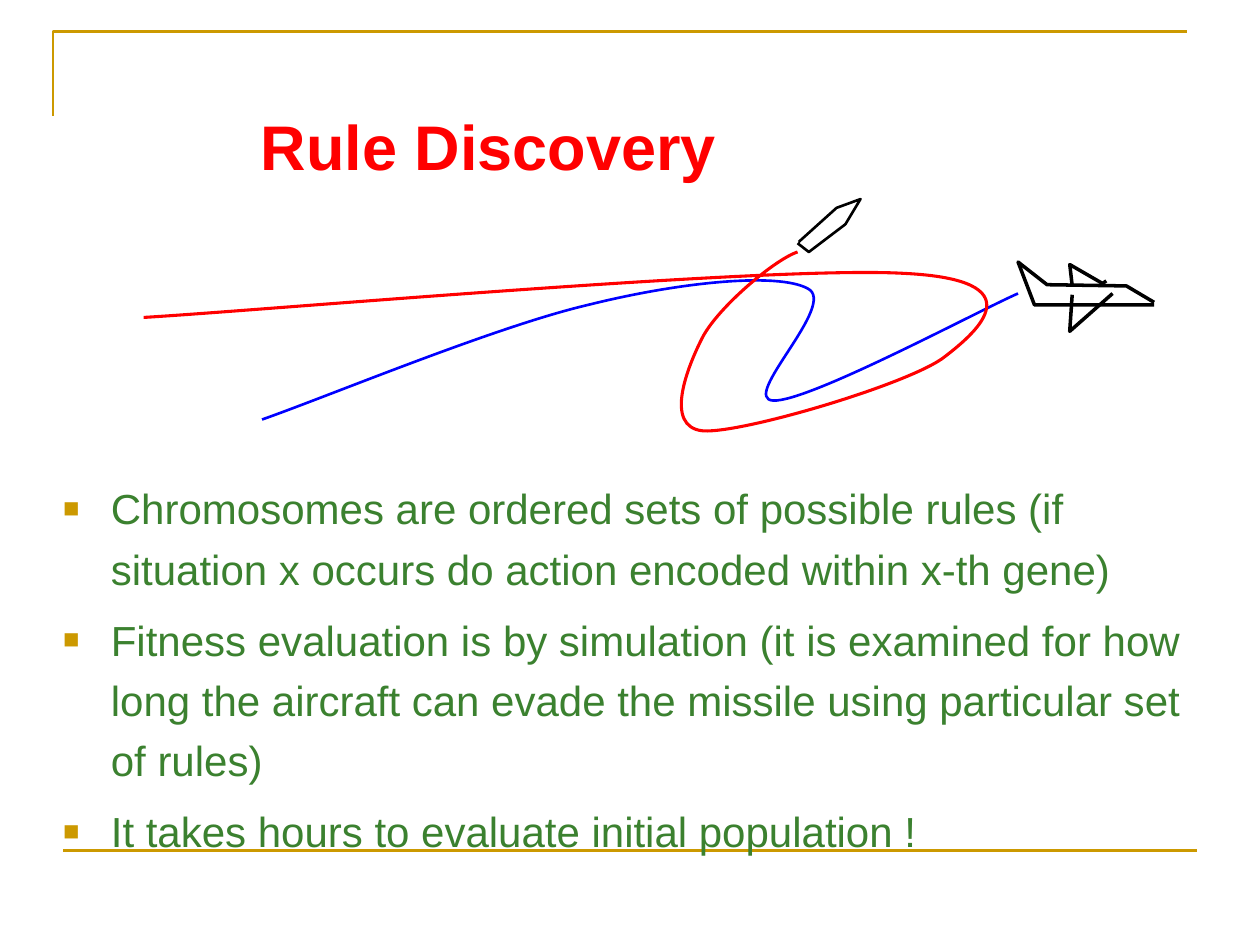
from lxml import etree
from pptx import Presentation
from pptx.dml.color import RGBColor
from pptx.enum.shapes import MSO_CONNECTOR
from pptx.enum.text import MSO_ANCHOR, PP_ALIGN
from pptx.oxml.ns import qn
from pptx.util import Pt

PX = 9144
STRAIGHT = MSO_CONNECTOR.STRAIGHT
TOP = MSO_ANCHOR.TOP
LEFT = PP_ALIGN.LEFT
GOLD = RGBColor(0xCC, 0x99, 0x00)
RED = RGBColor(0xFF, 0x00, 0x00)
BLUE = RGBColor(0x00, 0x00, 0xFF)
BLACK = RGBColor(0x00, 0x00, 0x00)
GREEN = RGBColor(0x3B, 0x81, 0x2F)

BULLETS = [
    "Chromosomes are ordered sets of possible rules (if situation x occurs do action encoded within x-th gene)",
    "Fitness evaluation is by simulation (it is examined for how long the aircraft can evade the missile using particular set of rules)",
    "It takes hours to evaluate initial population !",
]
FRAME_CORNER = [(42, 92), (42, 25), (942, 25)]
AIRCRAFT_BODY = [(916, 242), (821, 242), (808, 208), (831, 226), (894, 227), (916, 240)]
NEAR_WING = [(883, 233), (849, 263), (851, 234)]
FAR_WING = [(878, 223), (875, 225), (849, 210), (851, 227)]
MISSILE = [(634, 192), (664, 165), (683, 158), (671, 178), (642, 200), (633, 193)]
AIRCRAFT_TRACK = [
    (808, 233),
    (776, 247), (642, 319), (614, 318),
    (586, 317), (666, 241), (641, 229),
    (617, 216), (539, 224), (467, 242),
    (394, 259), (262, 314), (208, 333),
]
MISSILE_TRACK = [
    (114, 252),
    (214, 246), (611, 211), (717, 217),
    (823, 222), (776, 263), (750, 283),
    (724, 304), (590, 344), (558, 342),
    (526, 339), (546, 290), (558, 267),
    (571, 243), (615, 206), (633, 200),
]


class SlideBuilder:
    font_name = "Arial"

    def __init__(self, deck):
        self.slide = deck.slides.add_slide(deck.slide_layouts[5])
        self.shapes = self.slide.shapes

    def style_text(self, para, size, color, bold=False):
        para.alignment = LEFT
        for span in para.runs:
            span.font.name = self.font_name
            span.font.size = Pt(size)
            span.font.bold = bold
            span.font.color.rgb = color

    def set_frame(self, frame, side, top):
        frame.word_wrap = True
        frame.vertical_anchor = TOP
        frame.margin_left = frame.margin_right = side * PX
        frame.margin_top = top * PX

    def title(self, text, left, top, width, height):
        box = self.shapes.title
        box.left, box.top = left * PX, top * PX
        box.width, box.height = width * PX, height * PX
        self.set_frame(box.text_frame, 7, 18)
        box.text_frame.text = text
        self.style_text(box.text_frame.paragraphs[0], 36, RED, bold=True)

    def add_bullet(self, para):
        props = para._p.get_or_add_pPr()
        props.set("marL", str(38 * PX))
        props.set("indent", str(-38 * PX))
        color = etree.SubElement(props, qn("a:buClr"))
        etree.SubElement(color, qn("a:srgbClr"), val=str(GOLD))
        etree.SubElement(props, qn("a:buSzPct"), val="65000")
        etree.SubElement(props, qn("a:buFont"), typeface=self.font_name)
        etree.SubElement(props, qn("a:buChar"), char="■")

    def bullet_list(self, items, left, top, width, height):
        box = self.shapes.add_textbox(left * PX, top * PX, width * PX, height * PX)
        frame = box.text_frame
        self.set_frame(frame, 8, 8)
        frame.text = "\n".join(items)
        for index, para in enumerate(frame.paragraphs):
            self.add_bullet(para)
            para.line_spacing = 1.2
            para.space_before = Pt(6 if index else 0)
            self.style_text(para, 24, GREEN)

    def line(self, start, end, color, weight):
        line = self.shapes.add_connector(
            STRAIGHT, *(value * PX for value in start + end))
        line.line.color.rgb = color
        line.line.width = Pt(weight)
        etree.SubElement(line._element.spPr, qn("a:effectLst"))

    def outline(self, points, color, weight):
        builder = self.shapes.build_freeform(*points[0], scale=PX)
        builder.add_line_segments(points[1:], close=False)
        shape = builder.convert_to_shape()
        shape.shadow.inherit = False
        shape.fill.background()
        shape.line.color.rgb = color
        shape.line.width = Pt(weight)
        return shape

    def curve(self, points, color, weight):
        shape = self.outline(points, color, weight)
        segments = list(shape._element.iter(qn("a:lnTo")))
        outline_path = segments[0].getparent()
        for first in range(0, len(segments), 3):
            bezier = etree.SubElement(outline_path, qn("a:cubicBezTo"))
            for segment in segments[first:first + 3]:
                bezier.append(segment[0])
                outline_path.remove(segment)


def main():
    deck = Presentation()
    deck.slide_width, deck.slide_height = 1000 * PX, 750 * PX
    page = SlideBuilder(deck)
    page.outline(FRAME_CORNER, GOLD, 1.5)
    page.line((50, 675), (950, 675), GOLD, 1.5)
    page.title("Rule Discovery", 200, 67, 767, 125)
    page.bullet_list(BULLETS, 42, 367, 908, 325)
    for part in (AIRCRAFT_BODY, NEAR_WING, FAR_WING):
        page.outline(part, BLACK, 2)
    page.curve(AIRCRAFT_TRACK, BLUE, 1.5)
    page.outline(MISSILE, BLACK, 1.5)
    page.curve(MISSILE_TRACK, RED, 1.75)
    deck.save("out.pptx")


if __name__ == "__main__":
    main()
